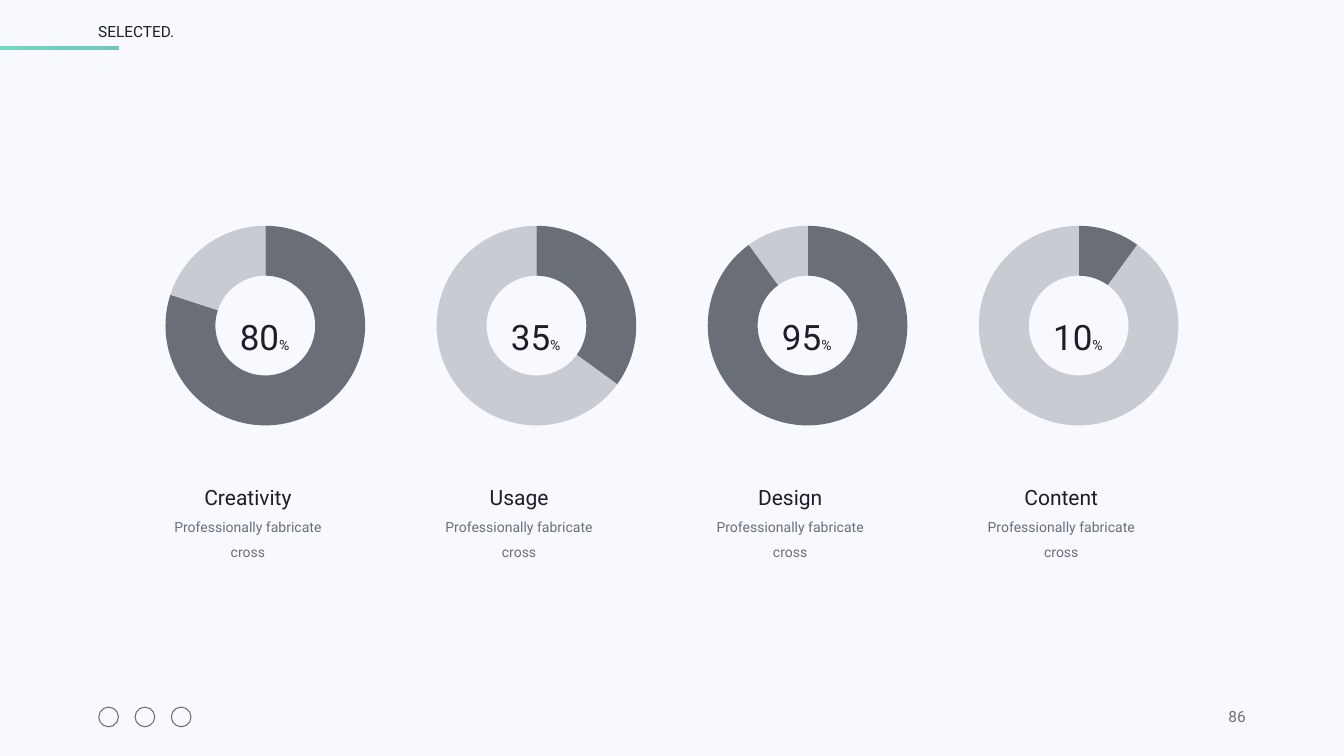
from lxml import etree
from pptx import Presentation
from pptx.chart.data import CategoryChartData
from pptx.dml.color import RGBColor
from pptx.enum.chart import XL_CHART_TYPE as ChartType
from pptx.enum.shapes import MSO_SHAPE as Shape
from pptx.enum.text import MSO_ANCHOR as Anchor, PP_ALIGN as Align
from pptx.oxml.ns import qn
from pptx.util import Inches, Pt

BACKGROUND = RGBColor(0xF7, 0xF9, 0xFF)
DARK = RGBColor(0x1C, 0x1F, 0x25)
GRAY = RGBColor(0x6A, 0x6E, 0x77)
LIGHT = RGBColor(0xC8, 0xCB, 0xD1)
GREEN = RGBColor(0x72, 0xD6, 0xBE)
TEAL = RGBColor(0x72, 0xC6, 0xC2)

FONT = "Roboto"
FIRST_LEFT, COLUMN_STEP = 3.26, 5.38
CAPTION = "Professionally fabricate cross"

# Heading, shown percentage, charted share
SKILLS = [
    ("Creativity", "80", 80),
    ("Usage", "35", 35),
    ("Design", "95", 90),
    ("Content", "10", 10),
]


def add_text_frame(slide, left, top, width, height, wrap=False):
    box = slide.shapes.add_textbox(Inches(left), Inches(top), Inches(width), Inches(height))
    frame = box.text_frame
    frame.word_wrap = wrap
    frame.margin_left = frame.margin_right = frame.margin_top = frame.margin_bottom = 0
    return frame


def format_paragraph(paragraph, size, color, alignment=Align.LEFT, spacing=None):
    paragraph.alignment = alignment
    paragraph.line_spacing = spacing
    paragraph.font.name = FONT
    paragraph.font.size = Pt(size)
    paragraph.font.color.rgb = color


def add_label(slide, text, left, top, width, height, color, alignment=Align.LEFT):
    paragraph = add_text_frame(slide, left, top, width, height).paragraphs[0]
    paragraph.text = text
    format_paragraph(paragraph, 22, color, alignment)


def add_accent_bar(slide):
    bar = slide.shapes.add_shape(Shape.RECTANGLE, 0, Inches(0.92), Inches(2.36), Inches(0.07))
    bar.shadow.inherit = False
    bar.line.fill.background()
    bar.fill.gradient()
    bar.fill.gradient_angle = 0
    for stop, color in zip(bar.fill.gradient_stops, (GREEN, TEAL)):
        stop.color.rgb = color


def add_ring(slide, left):
    ring = slide.shapes.add_shape(
        Shape.OVAL, Inches(left), Inches(14.03), Inches(0.39), Inches(0.39))
    ring.shadow.inherit = False
    ring.fill.background()
    ring.line.color.rgb = GRAY
    ring.line.width = Pt(1.5)


def fill_plot_area(chart):
    """Stretch the plot over the chart frame and thin the ring."""
    plot_area = chart.plots[0]._element.getparent()
    layout = plot_area.find(qn("c:layout"))
    if layout is None:
        layout = etree.Element(qn("c:layout"))
        plot_area.insert(0, layout)
    manual = etree.SubElement(layout, qn("c:manualLayout"))
    settings = [("layoutTarget", "inner"), ("xMode", "edge"), ("yMode", "edge"),
                ("x", "0.005"), ("y", "0.005"), ("w", "0.99"), ("h", "0.988")]
    for name, value in settings:
        etree.SubElement(manual, qn(f"c:{name}")).set("val", value)
    plot_area.find(".//" + qn("c:holeSize")).set("val", "90")


def add_doughnut(slide, left, share):
    data = CategoryChartData()
    data.categories = ["1", "2"]
    data.add_series("Series 1", [share, 100 - share])
    chart = slide.shapes.add_chart(
        ChartType.DOUGHNUT, Inches(left), Inches(4.46), Inches(4.01), Inches(4.01), data).chart
    chart.has_legend = False
    chart.has_title = False
    chart.font.name = "Arial"
    chart.font.size = Pt(10)
    chart.font.color.rgb = RGBColor(0, 0, 0)
    plot = chart.plots[0]
    plot.vary_by_categories = False
    series = plot.series[0]
    series.format.fill.solid()
    series.format.fill.fore_color.rgb = GRAY
    for index, color in enumerate((GRAY, LIGHT)):
        point = series.points[index].format
        point.fill.solid()
        point.fill.fore_color.rgb = color
        point.line.fill.background()
    fill_plot_area(chart)


def add_percentage(slide, left, number):
    frame = add_text_frame(slide, left, 6.01, 1.02, 0.92)
    frame.vertical_anchor = Anchor.MIDDLE
    paragraph = frame.paragraphs[0]
    format_paragraph(paragraph, 50, DARK, Align.CENTER, 1.5)
    for text, size in ((number, 50), ("%", 20)):
        run = paragraph.add_run()
        run.text = text
        run.font.size = Pt(size)


def add_caption(slide, left, heading):
    frame = add_text_frame(slide, left, 9.37, 3.32, 1.17, wrap=True)
    frame.text = f"{heading}\n{CAPTION}"
    for paragraph, size, color in zip(frame.paragraphs, (30, 20), (DARK, GRAY)):
        format_paragraph(paragraph, size, color, Align.CENTER, 1.5)


def main():
    presentation = Presentation()
    presentation.slide_width = Inches(26.67)
    presentation.slide_height = Inches(15)
    slide = presentation.slides.add_slide(presentation.slide_layouts[6])
    slide.background.fill.solid()
    slide.background.fill.fore_color.rgb = BACKGROUND

    # Footer and header
    for index in range(3):
        add_ring(slide, 1.96 + 0.72 * index)
    add_label(slide, "86", 23.84, 14.03, 0.88, 0.4, GRAY, Align.RIGHT)
    add_label(slide, "SELECTED.", 1.95, 0.43, 1.53, 0.4, DARK)
    add_accent_bar(slide)

    # One column per skill
    for index, (heading, number, share) in enumerate(SKILLS):
        left = FIRST_LEFT + COLUMN_STEP * index
        add_doughnut(slide, left, share)
        add_percentage(slide, left + 1.48, number)
        add_caption(slide, left, heading)

    presentation.save("out.pptx")


if __name__ == "__main__":
    main()
